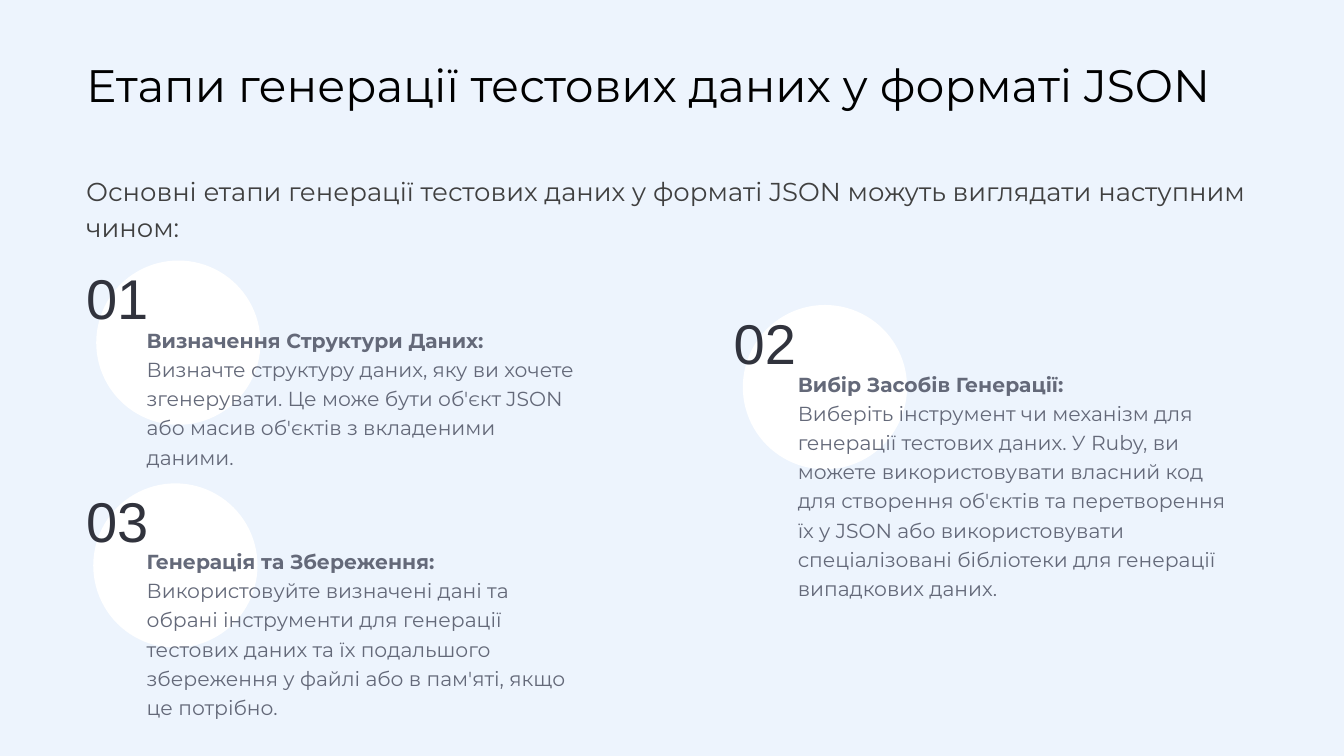
from pptx import Presentation
from pptx import util as u
from pptx.dml.color import RGBColor
from pptx.enum import shapes, text

# Left of circle, number and body, then top, body offset, body height (cm)
STEPS = [
    ("01", (4.85, 4.19, 7.24), 13.13, 3.0, 8.84, "Визначення Структури Даних:",
     "Визначте структуру даних, яку ви хочете згенерувати. Це може бути об'єкт JSON "
     "або масив об'єктів з вкладеними даними."),
    ("02", (37.44, 36.83, 40.06), 15.37, 2.97, 13.44, "Вибір Засобів Генерації:",
     "Виберіть інструмент чи механізм для генерації тестових даних. У Ruby, ви можете "
     "використовувати власний код для створення об'єктів та перетворення їх у JSON або "
     "використовувати спеціалізовані бібліотеки для генерації випадкових даних."),
    ("03", (4.7, 4.19, 7.24), 24.36, 2.92, 8.97, "Генерація та Збереження:",
     "Використовуйте визначені дані та обрані інструменти для генерації тестових даних "
     "та їх подальшого збереження у файлі або в пам'яті, якщо це потрібно."),
]
CIRCLE = 8.28


def paint(fill, color):
    fill.solid()
    fill.fore_color.rgb = RGBColor.from_string(color)


def write(sp, lines, size, color, font="Montserrat", middle=False, spacing=None):
    """Fill a text shape with one paragraph per line."""
    tf = sp.text_frame
    tf.word_wrap = True
    tf.auto_size = text.MSO_AUTO_SIZE.SHAPE_TO_FIT_TEXT
    tf.vertical_anchor = text.MSO_ANCHOR.MIDDLE if middle else text.MSO_ANCHOR.TOP
    tf.margin_left = tf.margin_right = tf.margin_top = tf.margin_bottom = u.Cm(0.15)
    tf.text = "\n".join(lines)
    for p in tf.paragraphs:
        p.alignment = text.PP_ALIGN.LEFT
        p.line_spacing = spacing
        p.font.name = font
        p.font.size = u.Pt(size)
        p.font.color.rgb = RGBColor.from_string(color)
    return tf.paragraphs


def add_text(s, box, lines, size, color, **style):
    sp = s.shapes.add_textbox(*map(u.Cm, box))
    return write(sp, lines, size, color, **style)


def add_title(s, box, title):
    sp = s.shapes.title
    sp.left, sp.top, sp.width, sp.height = map(u.Cm, box)
    write(sp, [title], 65, "000000", middle=True)


def add_circle(s, left, top):
    sp = s.shapes.add_shape(shapes.MSO_SHAPE.OVAL, *map(u.Cm, (left, top, CIRCLE, CIRCLE)))
    sp.shadow.inherit = False
    paint(sp.fill, "FFFFFF")
    sp.line.fill.background()


def add_step(s, number, lefts, top, offset, height, heading, body):
    circle_left, number_left, body_left = lefts
    add_circle(s, circle_left, top)
    add_text(s, (number_left, top, 6.02, 3.71), [number], 80, "31333D",
             font="Arial", middle=True)
    paragraphs = add_text(s, (body_left, top + offset, 21.89, height),
                          [heading, body], 29, "646979", spacing=1.2)
    paragraphs[0].font.bold = True


def main():
    prs = Presentation()
    prs.slide_width, prs.slide_height = u.Cm(67.74), u.Cm(38.1)
    s = prs.slides.add_slide(prs.slide_layouts[5])
    paint(s.background.fill, "EDF4FD")

    # Title and introduction
    add_title(s, (4.19, 2.72, 59.77, 3.07), "Етапи генерації тестових даних у форматі JSON")
    intro = add_text(s, (4.19, 8.48, 60.17, 3.68),
                     ["Основні етапи генерації тестових даних у форматі JSON "
                      "можуть виглядати наступним чином:"],
                     37, "404040", spacing=1.15)
    intro[0].space_before = u.Pt(10)

    # Numbered steps
    for step in STEPS:
        add_step(s, *step)

    prs.save("out.pptx")


if __name__ == "__main__":
    main()
